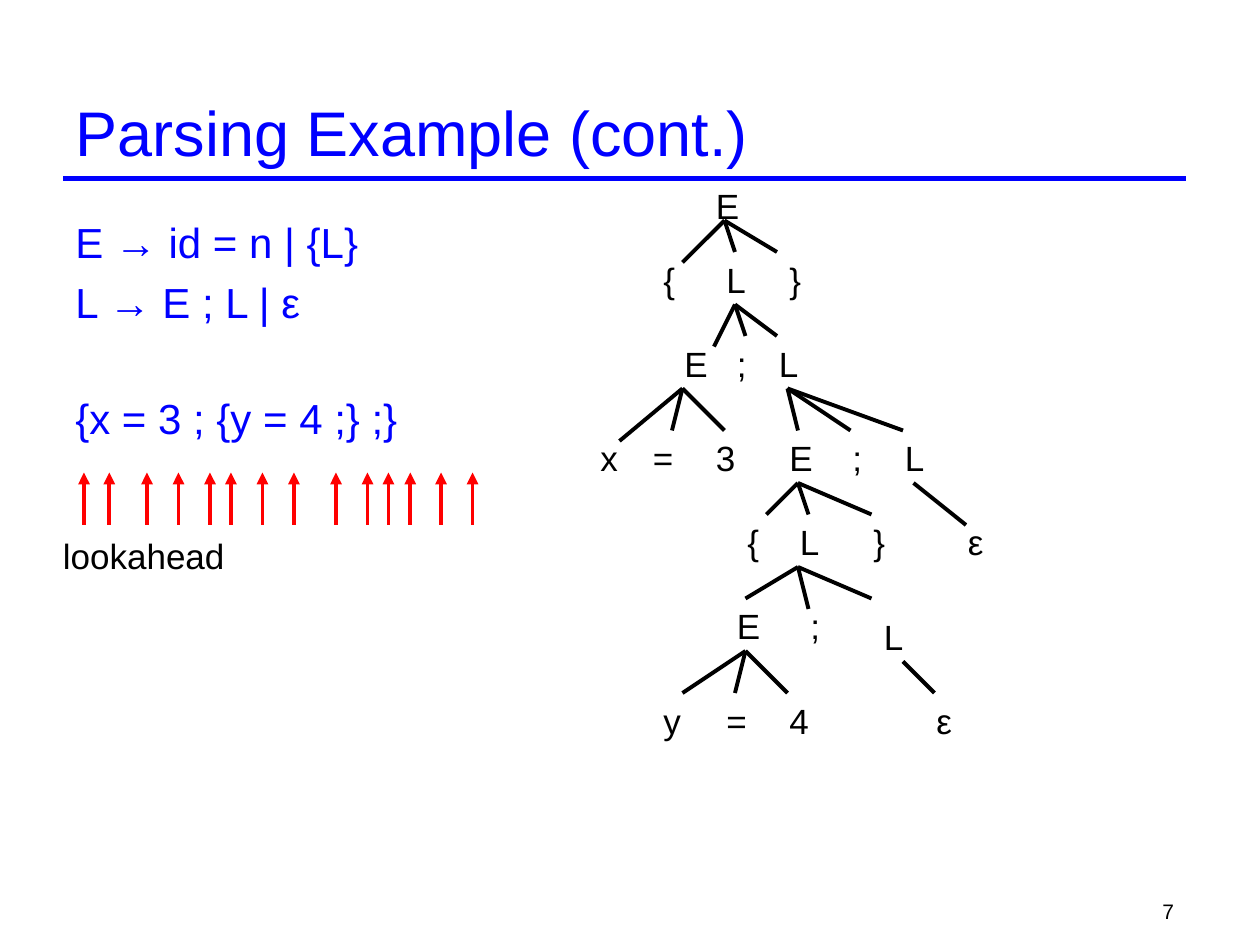
from lxml.etree import SubElement
from pptx import Presentation
from pptx.dml.color import RGBColor
from pptx.enum.shapes import MSO_CONNECTOR as CONN
from pptx.enum.text import MSO_ANCHOR as ANCHOR, MSO_AUTO_SIZE as AUTO, PP_ALIGN as ALIGN
from pptx.oxml.ns import qn
from pptx.util import Pt

BLUE, BLACK, RED = "0000FF", "000000", "FF0000"


def write(sp, lines, size, color, wrap=True, **para):
    tf = sp.text_frame
    tf.word_wrap = wrap
    tf.text = "\n".join(lines)
    for p in tf.paragraphs:
        for name, value in para.items():
            setattr(p, name, value)
        font = {"name": "Arial", "size": Pt(size)}
        for name, value in font.items():
            setattr(p.font, name, value)
        p.font.color.rgb = RGBColor.from_string(color)
    return tf


def line(x1, y1, x2, y2, color, width=2.25, arrow=False):
    c = s.shapes.add_connector(CONN.STRAIGHT, Pt(x1), Pt(y1), Pt(x2), Pt(y2))
    c.line.width = Pt(width)
    c.line.color.rgb = RGBColor.from_string(color)
    if arrow:
        SubElement(c.line._get_or_add_ln(), qn("a:tailEnd"), type="triangle")
    SubElement(c._element.spPr, qn("a:effectLst"))


prs = Presentation()
prs.slide_width, prs.slide_height = Pt(720), Pt(540)
s = prs.slides.add_slide(prs.slide_layouts[5])

line(36, 102, 678, 102, BLUE, 3)

title = s.shapes.title
place = {"left": 36, "top": 48, "width": 642, "height": 54}
for name, value in place.items():
    setattr(title, name, Pt(value))
tf = write(title, ["Parsing Example (cont.)"], 36, BLUE, alignment=ALIGN.LEFT)
tf.vertical_anchor = ANCHOR.MIDDLE
tf.auto_size = AUTO.NONE

number = s.shapes.add_textbox(Pt(528), Pt(510), Pt(150), Pt(18))
write(number, ["7"], 12, BLACK, alignment=ALIGN.RIGHT)

grammar = s.shapes.add_textbox(Pt(36), Pt(120), Pt(642), Pt(384))
rules = ["E → id = n | {L}", "L → E ; L | ε", "{x = 3 ; {y = 4 ;} ;}"]
tf = write(grammar, rules, 24, BLUE, space_before=Pt(5.4))
tf.paragraphs[-1].space_before = Pt(37.8)

lookahead = s.shapes.add_textbox(Pt(28.8), Pt(301.7), Pt(120), Pt(31))
write(lookahead, ["lookahead"], 20, BLACK)

widths = {"E": 28, "L": 26, "{": 21, "}": 21, ";": 20, "x": 24.5, "y": 24.5, "ε": 23}
rows = [
    (102, [("E", 402)]),
    (144, [("{", 372), ("L", 408), ("}", 444)]),
    (192, [("E", 384), (";", 414), ("L", 438)]),
    (246, [("x", 336), ("=", 366), ("3", 402), ("E", 444), (";", 480), ("L", 510)]),
    (294, [("{", 420), ("L", 450), ("}", 492), ("ε", 546)]),
    (342, [("E", 414), (";", 456)]),
    (348, [("L", 498)]),
    (396, [("y", 372), ("=", 408), ("4", 444), ("ε", 528)]),
]
for y, row in rows:
    for text, x in row:
        node = s.shapes.add_textbox(Pt(x), Pt(y), Pt(widths.get(text, 26)), Pt(31))
        write(node, [text], 20, BLACK, wrap=False)

branches = [
    ((414, 126), [(390, 150), (420, 144), (444, 144)]),
    ((420, 174), [(408, 198), (426, 192), (444, 192)]),
    ((390, 222), [(354, 252), (384, 246), (414, 246)]),
    ((450, 222), [(456, 246), (486, 246), (516, 246)]),
    ((456, 276), [(438, 294), (462, 294), (498, 294)]),
    ((522, 276), [(552, 300)]),
    ((456, 324), [(426, 342), (462, 348), (498, 342)]),
    ((426, 372), [(390, 396), (420, 396), (450, 396)]),
    ((516, 378), [(534, 396)]),
]
for parent, children in branches:
    for child in children:
        line(*parent, *child, BLACK)

for x in [48, 62.5, 84, 102, 120, 132, 150, 168, 192, 210, 222, 234.5, 252, 270]:
    line(x, 300, x, 270, RED, arrow=True)

prs.save("out.pptx")
